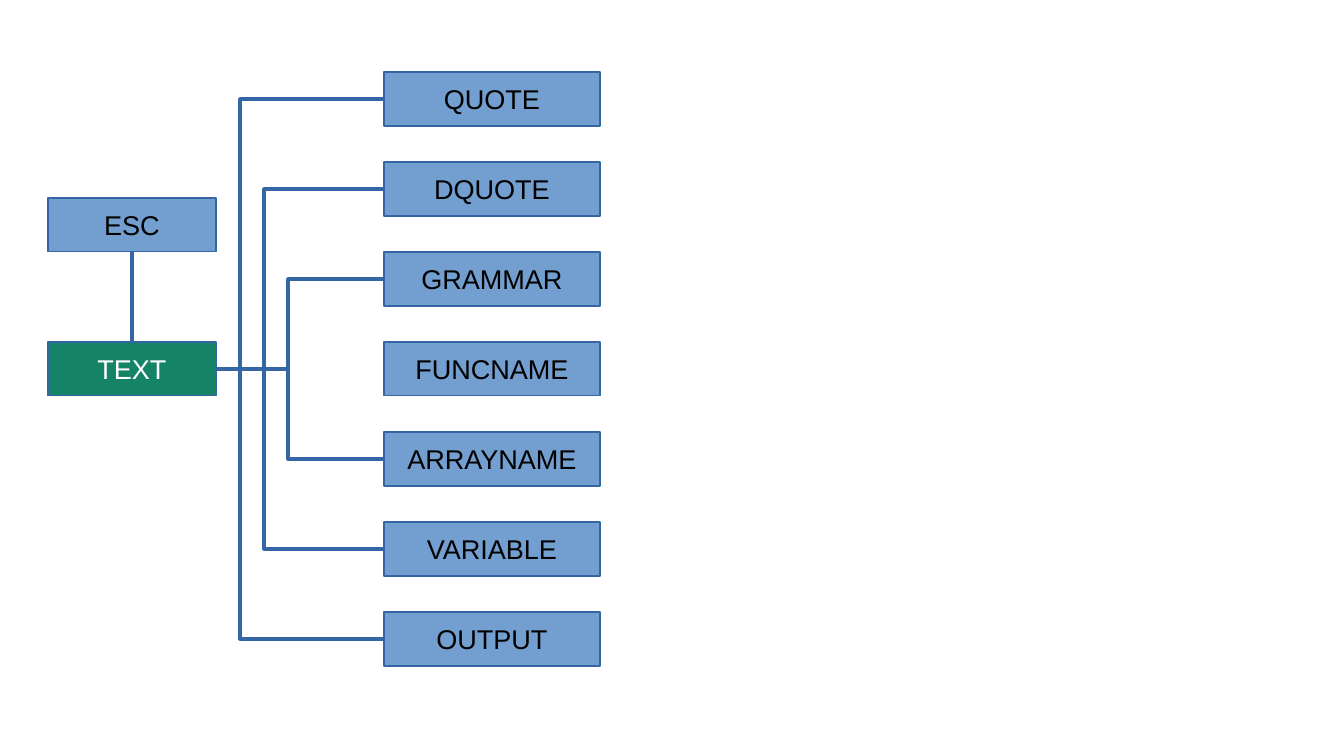
from lxml import etree
from pptx import Presentation
from pptx.dml.color import RGBColor
from pptx.enum.shapes import MSO_CONNECTOR, MSO_SHAPE
from pptx.enum.text import MSO_ANCHOR, PP_ALIGN
from pptx.oxml.ns import qn
from pptx.util import Pt

PX = 914400 / 122
RECT = MSO_SHAPE.RECTANGLE
STRAIGHT, ELBOW = MSO_CONNECTOR.STRAIGHT, MSO_CONNECTOR.ELBOW
CENTER, MIDDLE = PP_ALIGN.CENTER, MSO_ANCHOR.MIDDLE
TOP, LEFT, BOTTOM, RIGHT = range(4)

BLACK = RGBColor(0x00, 0x00, 0x00)
WHITE = RGBColor(0xFF, 0xFF, 0xFF)
GREEN = RGBColor(0x15, 0x84, 0x66)
BLUE = RGBColor(0x72, 0x9F, 0xCF)
EDGE = RGBColor(0x34, 0x65, 0xA4)

STATES = ["QUOTE", "DQUOTE", "GRAMMAR", "FUNCNAME", "ARRAYNAME", "VARIABLE", "OUTPUT"]
HEIGHT = 54
PITCH = 90
STEP = 24


def emu(px):
    return round(px * PX)


def add_node(slide, label, x, y, width, fill=BLUE, color=BLACK):
    node = slide.shapes.add_shape(RECT, emu(x), emu(y), emu(width), emu(HEIGHT))
    node.shadow.inherit = False
    node.fill.solid()
    node.fill.fore_color.rgb = fill
    node.line.color.rgb = EDGE
    node.line.width = 0
    frame = node.text_frame
    frame.vertical_anchor = MIDDLE
    para = frame.paragraphs[0]
    para.text = label
    para.alignment = CENTER
    para.font.name = "Arial"
    para.font.size = Pt(16)
    para.font.color.rgb = color
    return node


def add_link(slide, start, out, end, into, kind=STRAIGHT):
    link = slide.shapes.add_connector(kind, 0, 0, 0, 0)
    link.begin_connect(start, out)
    link.end_connect(end, into)
    link.line.color.rgb = EDGE
    link.line.width = 0
    etree.SubElement(link._element.spPr, qn("a:effectLst"))
    return link


def set_bend(link, bend):
    """Put the elbow's upright part bend px right of its start."""
    guides = link._element.spPr.find(qn("a:prstGeom")).get_or_add_avLst()
    ratio = round(100000 * emu(bend) / link.width)
    etree.SubElement(guides, qn("a:gd"), name="adj1", fmla=f"val {ratio}")


def add_source(slide, x, y, width):
    """Draw ESC above TEXT and return TEXT."""
    esc = add_node(slide, "ESC", x, y, width)
    text = add_node(slide, "TEXT", x, y + 144, width, GREEN, WHITE)
    add_link(slide, text, TOP, esc, BOTTOM)
    return text


def add_states(slide, text, x, y, width):
    """Stack the states and tie all but the middle one to TEXT."""
    middle = len(STATES) // 2
    for row, label in enumerate(STATES):
        node = add_node(slide, label, x, y + row * PITCH, width)
        if row != middle:
            link = add_link(slide, text, RIGHT, node, LEFT, ELBOW)
            set_bend(link, STEP * (middle + 1 - abs(row - middle)))


def main():
    deck = Presentation()
    deck.slide_width, deck.slide_height = emu(1344), emu(756)
    slide = deck.slides.add_slide(deck.slide_layouts[6])
    text = add_source(slide, 48, 198, 168)
    add_states(slide, text, 384, 72, 216)
    deck.save("out.pptx")


if __name__ == "__main__":
    main()
